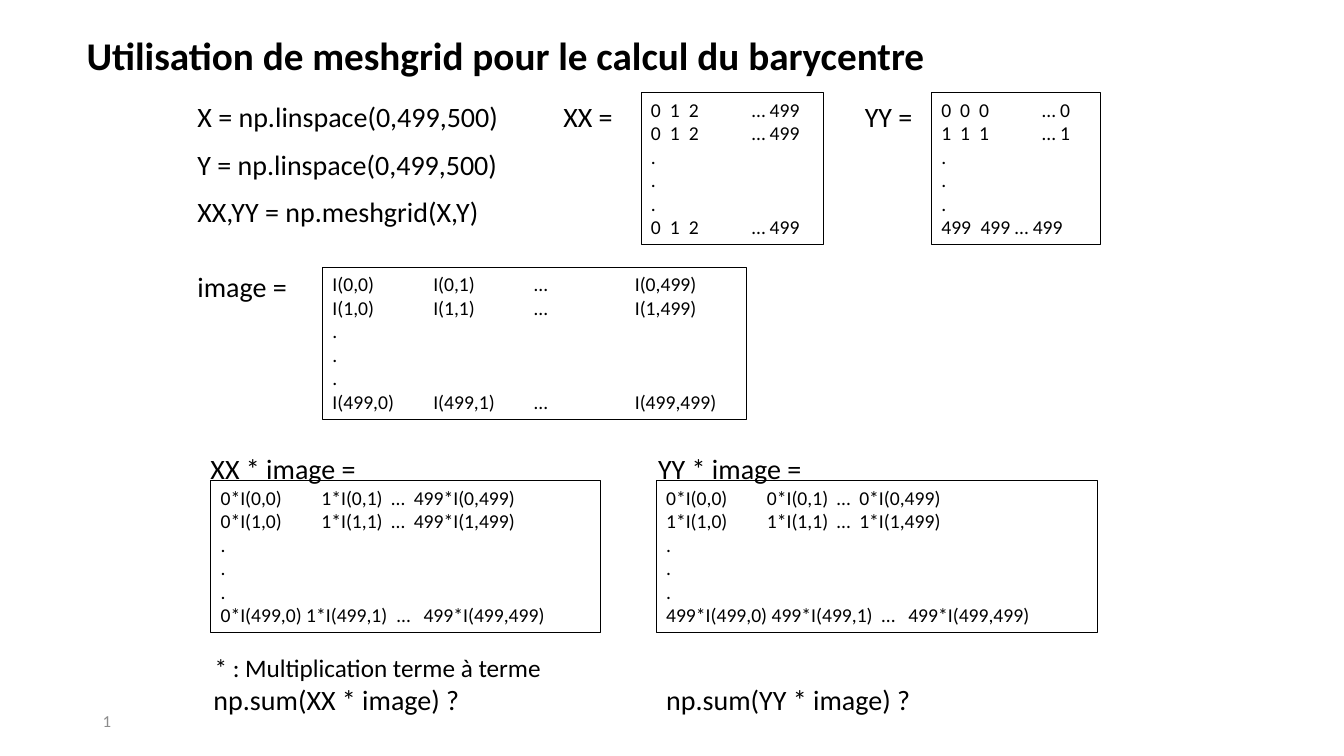
import pptx
import pptx.util
import pptx.dml.color
import pptx.enum.shapes
import pptx.enum.text
import pptx.oxml.ns
import lxml.etree

Pt = pptx.util.Pt
Align = pptx.enum.text.PP_ALIGN
Anchor = pptx.enum.text.MSO_ANCHOR

COLORS = {"ink": "000000", "number": "8C8C8C"}
FONT = "Calibri"
TITLE = "Utilisation de meshgrid pour le calcul du barycentre"
PAGE_NUMBER = "1"

TOP, IMAGE_TOP, PRODUCT_TOP, SUM_TOP = 66.2, 190.8, 343.4, 482.4
LABEL_TOP = 317.5
LABEL_HEIGHT, MATRIX_HEIGHT = 32.4, 108.7

LABELS = [
    (133.9, TOP, 278, 20, ["X = np.linspace(0,499,500)", "Y = np.linspace(0,499,500)",
                           "XX,YY = np.meshgrid(X,Y)"]),
    (395.3, TOP, 73.4, 20, ["XX ="]),
    (610.6, TOP, 73.4, 20, ["YY ="]),
    (133.9, 187.2, 96.5, 20, ["image ="]),
    (143.3, LABEL_TOP, 156.2, 20, ["XX * image ="]),
    (463, LABEL_TOP, 156.2, 20, ["YY * image ="]),
    (146.2, 460.8, 260, 18, ["* : Multiplication terme à terme"]),
    (145.4, SUM_TOP, 252, 20, ["np.sum(XX * image) ?"]),
    (468.7, SUM_TOP, 242, 20, ["np.sum(YY * image) ?"]),
]

COUNT_STOPS = (13.5, 27, 72)
IMAGE_STOPS = (72, 144, 216)
PRODUCT_STOPS = (72, 122, 138)
DOTS = [(["."], ())] * 3

MATRICES = [
    (457.9, TOP, 130.3,
     [(["0", "1", "2", "… 499"], COUNT_STOPS)] * 2,
     (["0", "1", "2", "… 499"], COUNT_STOPS)),
    (665.3, TOP, 121,
     [(["0", "0", "0", "… 0"], COUNT_STOPS), (["1", "1", "1", "… 1"], COUNT_STOPS)],
     (["499", "499 … 499"], (28,))),
    (230.4, IMAGE_TOP, 303.1,
     [([f"I({row},0)", f"I({row},1)", "…", f"I({row},499)"], IMAGE_STOPS) for row in (0, 1)],
     (["I(499,0)", "I(499,1)", "…", "I(499,499)"], IMAGE_STOPS)),
    (150.5, PRODUCT_TOP, 278.6,
     [([f"0*I({row},0)", f"1*I({row},1)", "…", f"499*I({row},499)"], PRODUCT_STOPS)
      for row in (0, 1)],
     (["0*I(499,0) 1*I(499,1)", "…", "499*I(499,499)"], (126, 145))),
    (468.7, PRODUCT_TOP, 315.4,
     [([f"{row}*I({row},0)", f"{row}*I({row},1)", "…", f"{row}*I({row},499)"], PRODUCT_STOPS)
      for row in (0, 1)],
     (["499*I(499,0) 499*I(499,1)", "…", "499*I(499,499)"], (154, 173))),
]


def color(name):
    return pptx.dml.color.RGBColor.from_string(COLORS[name])


def write(shape, lines, size, ink="ink", bold=False, align=Align.LEFT,
          anchor=Anchor.TOP, spacing=None, after=None):
    frame = shape.text_frame
    frame.word_wrap = True
    frame.auto_size = pptx.enum.text.MSO_AUTO_SIZE.NONE
    frame.vertical_anchor = anchor
    frame.text = "\n".join(lines)
    for para in frame.paragraphs:
        para.alignment = align
        para.line_spacing = spacing
        para.space_after = after
        for span in para.runs:
            span.font.name = FONT
            span.font.size = Pt(size)
            span.font.bold = bold
            span.font.color.rgb = color(ink)


def set_tab_stops(para, stops):
    qn = pptx.oxml.ns.qn
    tab_list = lxml.etree.SubElement(para._p.get_or_add_pPr(), qn("a:tabLst"))
    for stop in stops:
        lxml.etree.SubElement(tab_list, qn("a:tab"), pos=str(int(Pt(stop))), algn="l")


def add_matrix(page, left, top, width, first_rows, last_row):
    rows = first_rows + DOTS + [last_row]
    box = page.shapes.add_shape(pptx.enum.shapes.MSO_SHAPE.RECTANGLE,
                                Pt(left), Pt(top), Pt(width), Pt(MATRIX_HEIGHT))
    box.shadow.inherit = False
    box.fill.background()
    box.line.color.rgb = color("ink")
    box.line.width = Pt(0.75)
    write(box, ["\t".join(cells) for cells, stops in rows], 14)
    for para, (cells, stops) in zip(box.text_frame.paragraphs, rows):
        if stops:
            set_tab_stops(para, stops)


deck = pptx.Presentation()
deck.slide_width, deck.slide_height = Pt(960), Pt(540)
page = deck.slides.add_slide(deck.slide_layouts[5])

title = page.shapes.title
title.left, title.top, title.width, title.height = Pt(54.7), Pt(-10.8), Pt(828), Pt(104.4)
write(title, [TITLE], 28, bold=True, anchor=Anchor.MIDDLE, spacing=0.9)

number = page.shapes.add_textbox(Pt(66.2), Pt(500.4), Pt(216), Pt(28.8))
write(number, [PAGE_NUMBER], 12, ink="number", anchor=Anchor.MIDDLE)

for left, top, width, size, lines in LABELS:
    label = page.shapes.add_textbox(Pt(left), Pt(top), Pt(width), Pt(LABEL_HEIGHT * len(lines)))
    write(label, lines, size, align=Align.JUSTIFY, spacing=1.07, after=Pt(8))

for matrix in MATRICES:
    add_matrix(page, *matrix)

deck.save("out.pptx")
